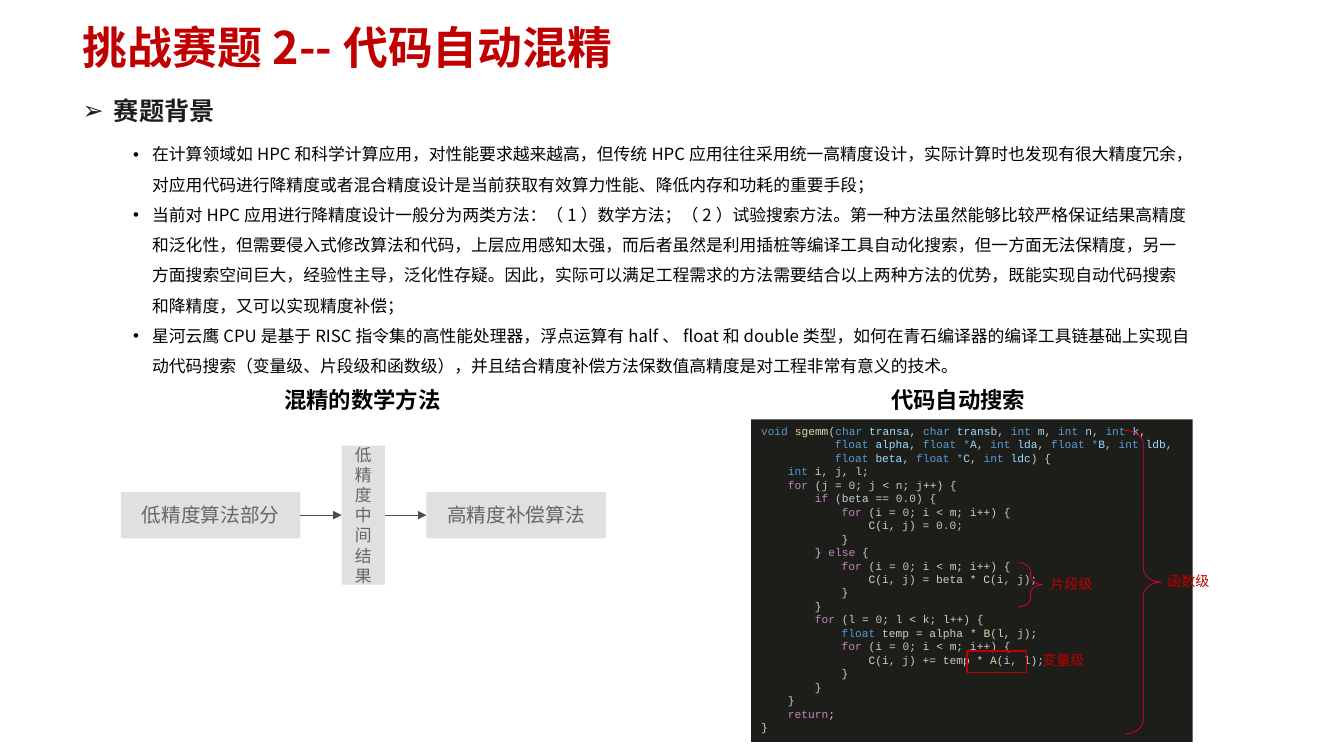
from itertools import groupby

from lxml.etree import SubElement
from pptx import Presentation
from pptx.dml.color import RGBColor
from pptx.enum.shapes import MSO_CONNECTOR, MSO_SHAPE
from pptx.enum.text import MSO_ANCHOR, PP_ALIGN
from pptx.oxml.ns import qn
from pptx.util import Inches, Pt

SANS, MONO = "Noto Sans CJK SC", "Courier New"
RED, BRACE_RED, INK = "C00000", "E9002F", "1D1D1A"
BLUE, PURPLE, YELLOW = "569CD6", "C586C0", "DCDCAA"
PARAM, NUMBER, OPERATOR, PLAIN = "9CDCFE", "B5CEA8", "D4D4D4", "CCCCCC"
TYPES = {"void", "char", "int", "float"}
CONTROLS = {"for", "if", "else", "return"}
SIGNATURE_LINES = 3

BACKGROUND = [
    "在计算领域如HPC和科学计算应用，对性能要求越来越高，但传统HPC应用往往采用统一高精度设计，实际计算时也发现有很大精度冗余，"
    "对应用代码进行降精度或者混合精度设计是当前获取有效算力性能、降低内存和功耗的重要手段；",
    "当前对HPC应用进行降精度设计一般分为两类方法：（1）数学方法；（2）试验搜索方法。第一种方法虽然能够比较严格保证结果高精度"
    "和泛化性，但需要侵入式修改算法和代码，上层应用感知太强，而后者虽然是利用插桩等编译工具自动化搜索，但一方面无法保精度，另一"
    "方面搜索空间巨大，经验性主导，泛化性存疑。因此，实际可以满足工程需求的方法需要结合以上两种方法的优势，既能实现自动代码搜索"
    "和降精度，又可以实现精度补偿；",
    "星河云鹰CPU是基于RISC指令集的高性能处理器，浮点运算有half、float和double类型，如何在青石编译器的编译工具链基础上实现自"
    "动代码搜索（变量级、片段级和函数级），并且结合精度补偿方法保数值高精度是对工程非常有意义的技术。",
]

CODE = """void sgemm(char transa, char transb, int m, int n, int k,
           float alpha, float *A, int lda, float *B, int ldb,
           float beta, float *C, int ldc) {
    int i, j, l;
    for (j = 0; j < n; j++) {
        if (beta == 0.0) {
            for (i = 0; i < m; i++) {
                C(i, j) = 0.0;
            }
        } else {
            for (i = 0; i < m; i++) {
                C(i, j) = beta * C(i, j);
            }
        }
        for (l = 0; l < k; l++) {
            float temp = alpha * B(l, j);
            for (i = 0; i < m; i++) {
                C(i, j) += temp * A(i, l);
            }
        }
    }
    return;
}"""


def color(hex_value):
    return RGBColor.from_string(hex_value)


def part(box, x, y, w, h):
    left, top, width, height = box
    return (int(left + width * x / 100), int(top + height * y / 100),
            int(width * w / 100), int(height * h / 100))


def format_run(r, size, hex_value, bold=False, font=SANS):
    r.font.size, r.font.bold, r.font.name = Pt(size), bold, font
    r.font.color.rgb = color(hex_value)
    east_asian = SANS if font != MONO else MONO
    SubElement(r._r.get_or_add_rPr(), qn("a:ea")).set("typeface", east_asian)


def indent(p, margin, first=0, bullet=None):
    pPr = p._p.get_or_add_pPr()
    pPr.set("marL", str(int(margin)))
    pPr.set("indent", str(int(first)))
    if bullet:
        SubElement(pPr, qn("a:buFont")).set("typeface", "Arial")
        SubElement(pPr, qn("a:buChar")).set("char", bullet)


def clear_margins(tf):
    tf.margin_left = tf.margin_right = tf.margin_top = tf.margin_bottom = 0


def add_text(s, box, paragraphs, size, hex_value, bold=False, wrap=True):
    tf = s.shapes.add_textbox(*box).text_frame
    tf.word_wrap = wrap
    clear_margins(tf)
    tf.text = "\n".join(paragraphs)
    for p in tf.paragraphs:
        format_run(p.runs[0], size, hex_value, bold)
    return tf


def add_shape(s, kind, box, fill=None, line=None, width=1):
    sp = s.shapes.add_shape(kind, *box)
    sp.shadow.inherit = False
    if fill:
        sp.fill.solid()
        sp.fill.fore_color.rgb = color(fill)
    else:
        sp.fill.background()
    if line:
        sp.line.color.rgb = color(line)
        sp.line.width = Pt(width)
    else:
        sp.line.fill.background()
    return sp


def add_arrow(s, source, target):
    c = s.shapes.add_connector(MSO_CONNECTOR.STRAIGHT, 0, 0, 0, 0)
    c.begin_connect(source, 3)
    c.end_connect(target, 1)
    c.line.color.rgb = color("4D4D4D")
    c.line.width = Pt(0.5)
    SubElement(c.line._get_or_add_ln(), qn("a:tailEnd")).set("type", "triangle")
    SubElement(c._element.spPr, qn("a:effectLst"))


def add_title(s, box):
    title = s.shapes.title
    title.left, title.top, title.width, title.height = box
    tf = title.text_frame
    clear_margins(tf)
    tf.vertical_anchor = MSO_ANCHOR.TOP
    tf.text = "挑战赛题2--代码自动混精"
    p = tf.paragraphs[0]
    p.alignment, p.line_spacing = PP_ALIGN.LEFT, Pt(34.3)
    format_run(p.runs[0], 32, RED, True)


def add_background(s, box):
    heading = add_text(s, part(box, 0, 0, 14, 11), ["赛题背景"], 18, INK, True, False)
    indent(heading.paragraphs[0], Inches(0.31), -Inches(0.31), "➢")
    body = add_text(s, part(box, 4.54, 13.57, 95.46, 86.43), BACKGROUND, 12, "000000")
    for p in body.paragraphs:
        p.line_spacing = 1.5
        indent(p, Inches(0.19), -Inches(0.19), "•")


def add_method_flow(s, box):
    add_text(s, part(box, 33.7, 0, 36, 13.7), ["混精的数学方法"], 16, "000000", True)
    steps = []
    for label, size, place in (
            ("低精度算法部分", 14, (0, 53.3, 37, 23.35)),
            ("低精度中间结果", 12, (45.5, 29.95, 8.94, 70.05)),
            ("高精度补偿算法", 14, (63, 53.3, 37, 23.35))):
        sp = add_shape(s, MSO_SHAPE.RECTANGLE, part(box, *place), "E0E0E0")
        tf = sp.text_frame
        tf.word_wrap = True
        tf.text = label
        tf.paragraphs[0].alignment = PP_ALIGN.CENTER
        format_run(tf.paragraphs[0].runs[0], size, "666666", font="Calibri")
        steps.append(sp)
    for source, target in zip(steps, steps[1:]):
        add_arrow(s, source, target)


def char_kind(c):
    if c.isalnum() or c == ".":
        return "word"
    return "operator" if c in "=<+*" else "other"


def token_color(kind, token, following, in_signature):
    if kind == "operator":
        return BLUE if in_signature else OPERATOR
    if kind == "other":
        return PLAIN
    if token in TYPES:
        return BLUE
    if token in CONTROLS:
        return PURPLE
    if token[0].isdigit():
        return NUMBER
    if following.startswith("("):
        return YELLOW
    return PARAM if in_signature else PLAIN


def add_code(s, box):
    sp = add_shape(s, MSO_SHAPE.RECTANGLE, box, INK)
    tf = sp.text_frame
    tf.word_wrap = True
    tf.vertical_anchor = MSO_ANCHOR.TOP
    for row, line in enumerate(CODE.splitlines()):
        p = tf.paragraphs[0] if row == 0 else tf.add_paragraph()
        p.alignment, p.line_spacing = PP_ALIGN.LEFT, Pt(9.6)
        source = line.lstrip()
        indent(p, Pt(4.8) * (len(line) - len(source)))
        tokens = [(kind, "".join(chars)) for kind, chars in groupby(source, char_kind)]
        for (kind, token), (_, following) in zip(tokens, tokens[1:] + [("", "")]):
            r = p.add_run()
            r.text = token
            hex_value = token_color(kind, token, following, row < SIGNATURE_LINES)
            format_run(r, 8, hex_value, font=MONO)


def add_code_search(s, box):
    add_text(s, part(box, 30.02, 0, 34, 7.65), ["代码自动搜索"], 16, "000000", True)
    add_code(s, part(box, 0, 9.35, 94.6, 90.65))
    add_shape(s, MSO_SHAPE.RECTANGLE, part(box, 46.22, 74.5, 12.74, 5.95), line=RED)
    for place in ((57.24, 49.58, 5.18, 12.46), (80.13, 12.46, 7.78, 85.27)):
        brace = add_shape(s, MSO_SHAPE.RIGHT_BRACE, part(box, *place),
                          line=BRACE_RED, width=0.5)
        brace.adjustments[0] = 0.38
    for label, x, y in (("变量级", 62.42, 74.5), ("片段级", 64.15, 53.26),
                        ("函数级", 89.2, 52.41)):
        add_text(s, part(box, x, y, 10.8, 4.82), [label], 10, RED)


def main():
    prs = Presentation()
    prs.slide_width, prs.slide_height = Inches(13.33), Inches(7.5)
    s = prs.slides.add_slide(prs.slide_layouts[5])
    page = (0, 0, prs.slide_width, prs.slide_height)
    add_title(s, part(page, 6.15, 3.33, 88.07, 14.53))
    add_background(s, part(page, 6.15, 12.67, 82.59, 37.33))
    add_method_flow(s, part(page, 9, 51.07, 36.08, 26.27))
    add_code_search(s, part(page, 55.89, 51.07, 34.73, 47.07))
    prs.save("out.pptx")


if __name__ == "__main__":
    main()
